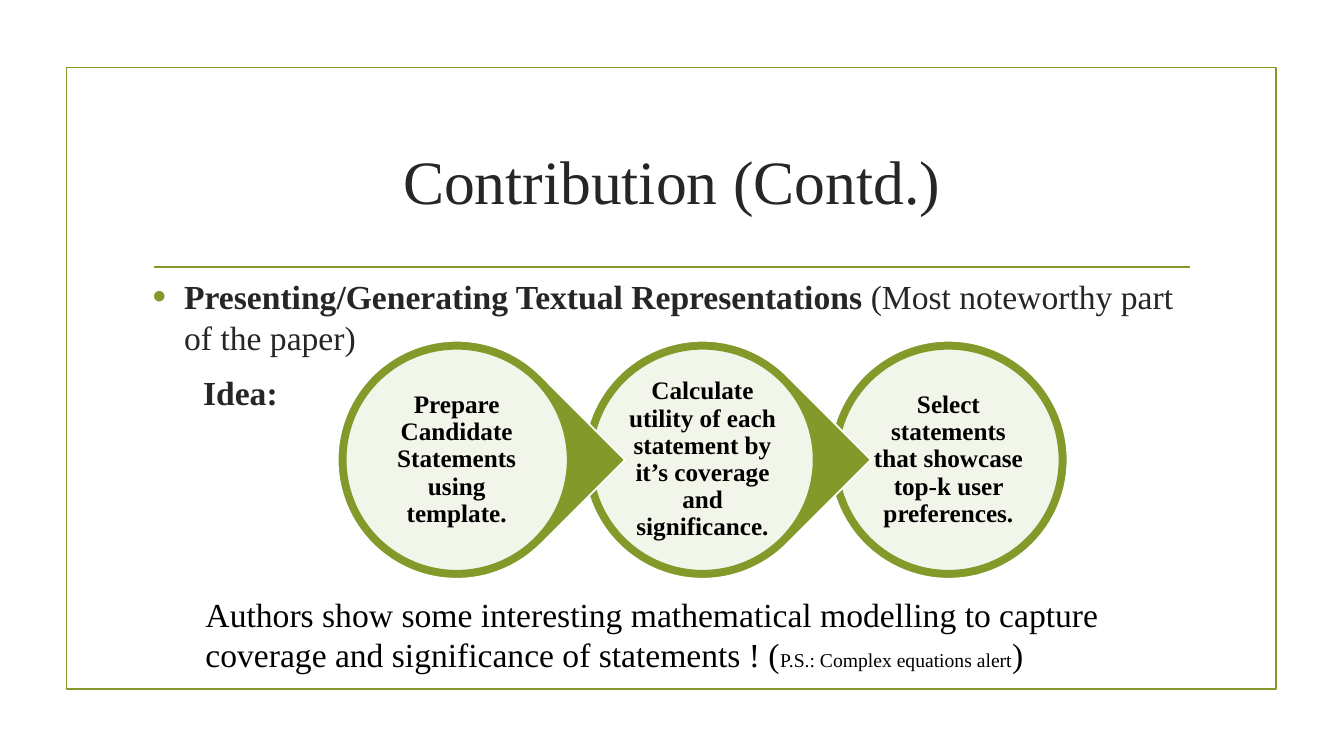
import pptx
import pptx.util
import pptx.dml.color
import pptx.enum.shapes
import pptx.enum.text
from lxml import etree
from pptx.oxml.ns import qn

Pt = pptx.util.Pt
SHAPE = pptx.enum.shapes.MSO_SHAPE
ALIGN = pptx.enum.text.PP_ALIGN
MIDDLE = pptx.enum.text.MSO_ANCHOR.MIDDLE
FONT = "Times New Roman"
COLORS = {"green": "83992A", "white": "FFFFFF", "ink": "262626", "black": "000000"}
STEPS = [
    "Prepare Candidate Statements using template.",
    "Calculate utility of each statement by it’s coverage and significance.",
    "Select statements that showcase top-k user preferences.",
]


def rgb(name):
    return pptx.dml.color.RGBColor.from_string(COLORS[name])


def add_shape(s, kind, x, y, w, h, fill, line):
    sp = s.shapes.add_shape(kind, Pt(x), Pt(y), Pt(w), Pt(h))
    sp.shadow.inherit = False
    if fill:
        sp.fill.solid()
        sp.fill.fore_color.rgb = rgb(fill)
    else:
        sp.fill.background()
    sp.line.color.rgb = rgb(line)
    sp.line.width = Pt(1.25)
    return sp


def add_text(s, x, y, w, h):
    tf = s.shapes.add_textbox(Pt(x), Pt(y), Pt(w), Pt(h)).text_frame
    tf.word_wrap = True
    return tf


def write(p, runs, size, color):
    """Fill a paragraph with (text, bold, size) runs; a size of None keeps the paragraph's."""
    p.font.name = FONT
    p.font.size = Pt(size)
    p.font.color.rgb = rgb(color)
    for text, bold, run_size in runs:
        r = p.add_run()
        r.text = text
        r.font.bold = bold
        if run_size:
            r.font.size = Pt(run_size)


def add_bullet(p, indent):
    pPr = p._p.get_or_add_pPr()
    pPr.set("marL", str(Pt(indent)))
    pPr.set("indent", str(-Pt(indent)))
    color = etree.Element(qn("a:buClr"))
    etree.SubElement(color, qn("a:srgbClr"), val=COLORS["green"])
    size = etree.Element(qn("a:buSzPct"), val="115000")
    font = etree.Element(qn("a:buFont"), typeface="Arial")
    char = etree.Element(qn("a:buChar"), char="•")
    # Bullet elements follow the spacing and precede the default run properties
    for element in (color, size, font, char):
        pPr.insert_element_before(element, "a:tabLst", "a:defRPr", "a:extLst")


def frame(s, x, y, w, h):
    add_shape(s, SHAPE.RECTANGLE, x, y, w, h, None, "green")
    # Rule under the title
    rule_y = y + 142.6
    rule = s.shapes.add_connector(
        pptx.enum.shapes.MSO_CONNECTOR.STRAIGHT,
        Pt(x + 62.5), Pt(rule_y), Pt(x + w - 61.5), Pt(rule_y))
    rule.line.color.rgb = rgb("green")
    rule.line.width = Pt(1.25)
    etree.SubElement(rule._element.spPr, qn("a:effectLst"))


def title(s, x, y, w, h):
    tf = add_text(s, x, y, w, h)
    tf.vertical_anchor = MIDDLE
    p = tf.paragraphs[0]
    p.alignment = ALIGN.CENTER
    write(p, [("Contribution (Contd.)", None, None)], 44, "ink")


def body(s, x, y, w, h):
    tf = add_text(s, x, y, w, h)
    heading, idea = tf.paragraphs[0], tf.add_paragraph()
    for p in (heading, idea):
        p.space_before = Pt(5)
        p.space_after = Pt(6)
    write(heading, [("Presenting/Generating Textual Representations ", True, None),
                    ("(Most noteworthy part of the paper)", False, None)], 24, "ink")
    add_bullet(heading, 22.5)
    write(idea, [("Idea:", True, None)], 24, "ink")
    idea._p.get_or_add_pPr().set("marL", str(Pt(36)))


def step(s, x, y, size, text, is_last):
    # Coloured outer shape, pointing to the next step
    kind = SHAPE.OVAL if is_last else SHAPE.TEAR
    outer = add_shape(s, kind, x, y, size, size, "green", "white")
    if not is_last:
        outer.rotation = 45
    # Pale disc
    gap = 5.7
    disc = add_shape(s, SHAPE.OVAL, x + gap, y + gap,
                     size - 2 * gap, size - 2 * gap, "white", "green")
    color = disc._element.spPr.find(qn("a:solidFill"))[0]
    etree.SubElement(color, qn("a:alpha"), val="90000")
    # Label
    inset = size / 6
    tf = add_text(s, x + inset, y + inset, size - 2 * inset, size - 2 * inset)
    tf.margin_left = tf.margin_right = tf.margin_top = tf.margin_bottom = Pt(2)
    tf.vertical_anchor = MIDDLE
    p = tf.paragraphs[0]
    p.alignment = ALIGN.CENTER
    p.line_spacing = 0.9
    write(p, [(text, True, None)], 18, "black")


def process(s, x, y, w, h):
    pitch = (w - h) / (len(STEPS) - 1)
    # Right to left, so each point overlaps the next step
    for i in reversed(range(len(STEPS))):
        step(s, x + i * pitch, y, h, STEPS[i], i == len(STEPS) - 1)


def closing(s, x, y, w, h):
    tf = add_text(s, x, y, w, h)
    write(tf.paragraphs[0], [
        ("Authors show some interesting mathematical modelling to capture "
         "coverage and significance of statements ! (", None, None),
        ("P.S.: Complex equations alert", None, 14),
        (")", None, None)], 24, "black")


def main():
    prs = pptx.Presentation()
    prs.slide_width, prs.slide_height = Pt(960), Pt(540)
    s = prs.slides.add_slide(prs.slide_layouts[6])
    frame(s, 47.5, 48.2, 864, 444)
    title(s, 102, 77, 756, 103)
    body(s, 102, 193.7, 756, 261)
    process(s, 241.2, 243.4, 521.3, 170)
    closing(s, 139.7, 420.5, 680, 65.5)
    prs.save("out.pptx")


if __name__ == "__main__":
    main()
